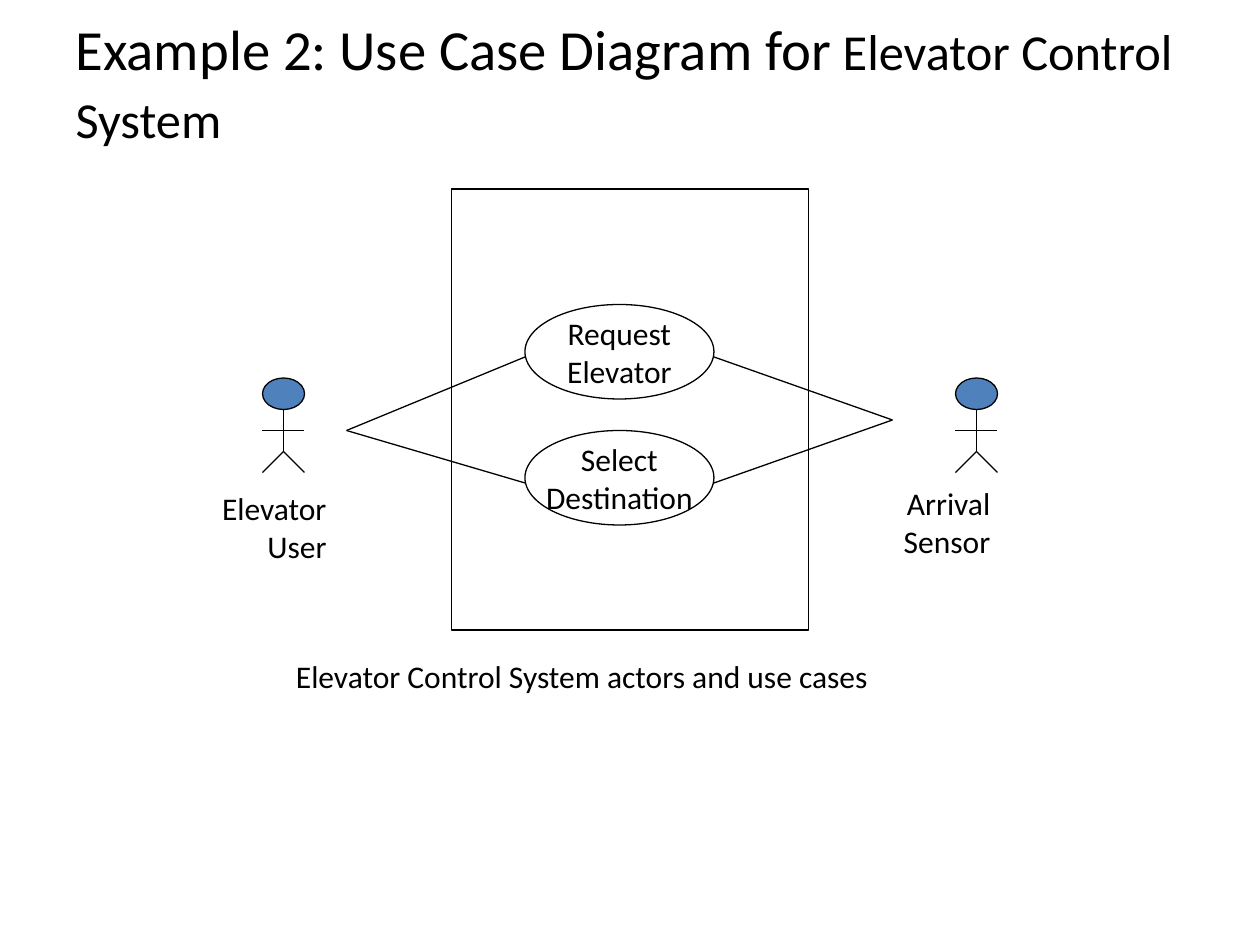
from lxml import etree
from pptx import Presentation
from pptx.dml.color import RGBColor
from pptx.enum.shapes import MSO_CONNECTOR, MSO_SHAPE
from pptx.enum.text import MSO_ANCHOR, MSO_AUTO_SIZE, PP_ALIGN
from pptx.oxml.ns import qn
from pptx.util import Pt

STRAIGHT = MSO_CONNECTOR.STRAIGHT
RECTANGLE, OVAL = MSO_SHAPE.RECTANGLE, MSO_SHAPE.OVAL
MIDDLE, TOP = MSO_ANCHOR.MIDDLE, MSO_ANCHOR.TOP
LEFT, CENTER, RIGHT = PP_ALIGN.LEFT, PP_ALIGN.CENTER, PP_ALIGN.RIGHT
NO_AUTO_SIZE = MSO_AUTO_SIZE.NONE

COLORS = {"ink": "000000", "head": "4F81BD"}
FONT = "Calibri"
TITLE_BOX = (36, 21.6, 648, 50.4)
TITLE_RUNS = [
    ("Example 2: Use Case Diagram for", 32.4),
    (" Elevator Control System", 28.8),
    (" ", 32.4),
]
SYSTEM_BOX = (258, 108, 204, 252)
USE_CASES = [["Request", "Elevator"], ["Select", "Destination"]]
CASE_LEFT, CASE_TOP, CASE_WIDTH, CASE_HEIGHT, CASE_STEP = 300, 174, 108, 54, 72
LINK_DROP = 30
ACTORS = [
    {"center": 162, "label": ["Elevator", "User"],
     "box": (120, 276, 81, 50.4), "link": (198, 246), "case_side": CASE_LEFT},
    {"center": 558, "label": ["Arrival", "Sensor"],
     "box": (509, 273, 71.3, 50.4), "link": (510, 240), "case_side": CASE_LEFT + CASE_WIDTH},
]
ACTOR_TOP = 216
HEAD_WIDTH, HEAD_HEIGHT = 24, 18
LIMBS = [
    ((0, 18), (0, 42)),
    ((0, 42), (12, 54)),
    ((0, 42), (-12, 54)),
    ((-12, 30), (12, 30)),
]
CAPTION = ["Elevator Control System actors and use cases"]
CAPTION_BOX = (162, 372, 345, 29)


def color(name):
    return RGBColor.from_string(COLORS[name])


def set_values(target, values):
    for name, value in values.items():
        setattr(target, name, value)


def style_line(line):
    line.color.rgb = color("ink")
    line.width = Pt(0.75)


def style_font(font, size):
    set_values(font, {"name": FONT, "size": Pt(size)})
    font.color.rgb = color("ink")


def add_outline(shapes, kind, box, fill=None):
    shape = shapes.add_shape(kind, *map(Pt, box))
    shape.shadow.inherit = False
    if fill:
        shape.fill.solid()
        shape.fill.fore_color.rgb = color(fill)
    else:
        shape.fill.background()
    style_line(shape.line)
    return shape


def add_line(shapes, start, end):
    connector = shapes.add_connector(STRAIGHT, *map(Pt, (*start, *end)))
    style_line(connector.line)
    etree.SubElement(connector._element.spPr, qn("a:effectLst"))


def write_lines(shape, lines, alignment, **frame_values):
    frame = shape.text_frame
    set_values(frame, frame_values)
    for index, text in enumerate(lines):
        paragraph = frame.add_paragraph() if index else frame.paragraphs[0]
        paragraph.text = text
        paragraph.alignment = alignment
        style_font(paragraph.font, 18)


def add_title(slide):
    title = slide.shapes.title
    set_values(title, dict(zip(("left", "top", "width", "height"), map(Pt, TITLE_BOX))))
    set_values(title.text_frame, {
        "word_wrap": True, "auto_size": NO_AUTO_SIZE, "vertical_anchor": MIDDLE})
    paragraph = title.text_frame.paragraphs[0]
    paragraph.alignment = LEFT
    for text, size in TITLE_RUNS:
        run = paragraph.add_run()
        run.text = text
        style_font(run.font, size)


def add_actor(shapes, actor):
    center = actor["center"]
    figure = shapes.add_group_shape().shapes
    head = (center - HEAD_WIDTH / 2, ACTOR_TOP, HEAD_WIDTH, HEAD_HEIGHT)
    add_outline(figure, OVAL, head, "head")
    for limb in LIMBS:
        add_line(figure, *((center + x, ACTOR_TOP + y) for x, y in limb))
    label = shapes.add_textbox(*map(Pt, actor["box"]))
    write_lines(label, actor["label"], RIGHT, word_wrap=True, vertical_anchor=TOP,
                margin_left=0, margin_right=Pt(14.4))
    for index in range(len(USE_CASES)):
        link_y = CASE_TOP + LINK_DROP + index * CASE_STEP
        add_line(shapes, actor["link"], (actor["case_side"], link_y))


def main():
    presentation = Presentation()
    set_values(presentation, {"slide_width": Pt(720), "slide_height": Pt(540)})
    slide = presentation.slides.add_slide(presentation.slide_layouts[5])
    shapes = slide.shapes
    add_title(slide)
    add_outline(shapes, RECTANGLE, SYSTEM_BOX)
    for index, lines in enumerate(USE_CASES):
        box = (CASE_LEFT, CASE_TOP + index * CASE_STEP, CASE_WIDTH, CASE_HEIGHT)
        use_case = add_outline(shapes, OVAL, box)
        write_lines(use_case, lines, CENTER, word_wrap=False, vertical_anchor=MIDDLE)
    for actor in ACTORS:
        add_actor(shapes, actor)
    caption = shapes.add_textbox(*map(Pt, CAPTION_BOX))
    write_lines(caption, CAPTION, LEFT, word_wrap=True, vertical_anchor=TOP)
    presentation.save("out.pptx")


if __name__ == "__main__":
    main()
